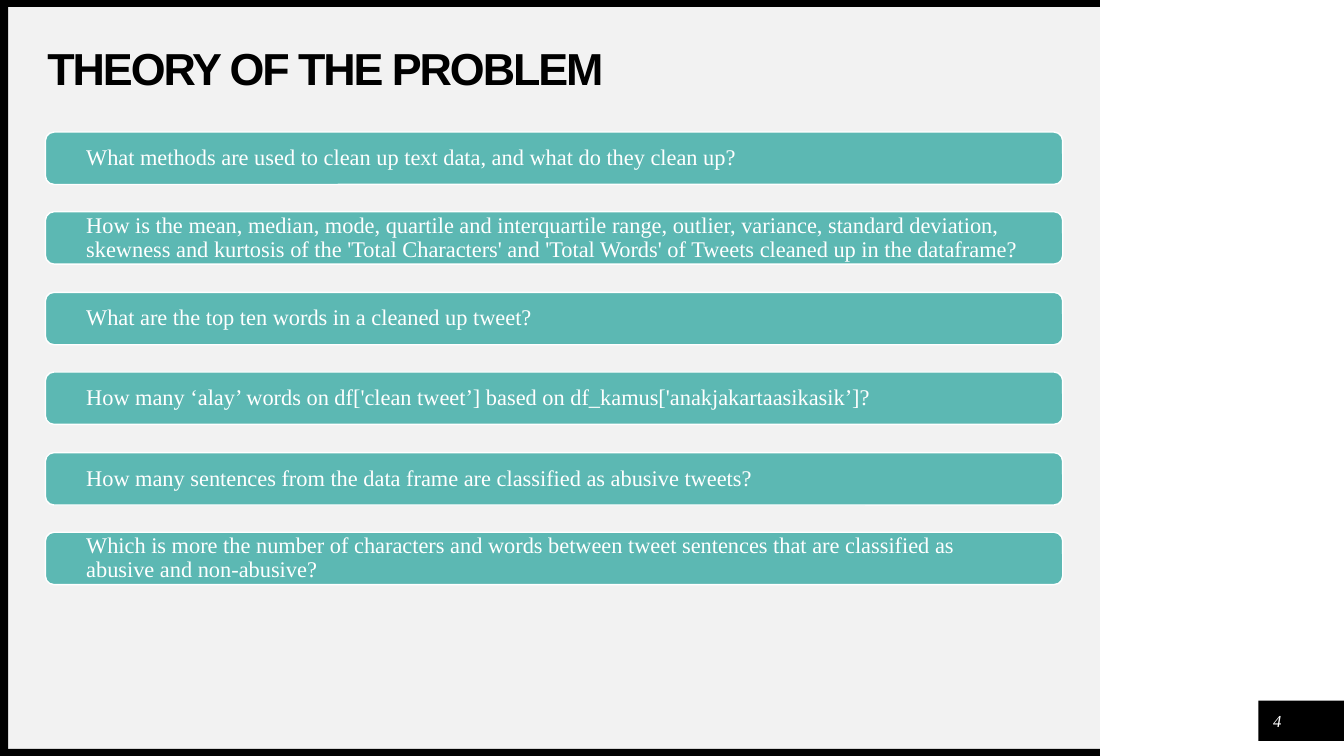
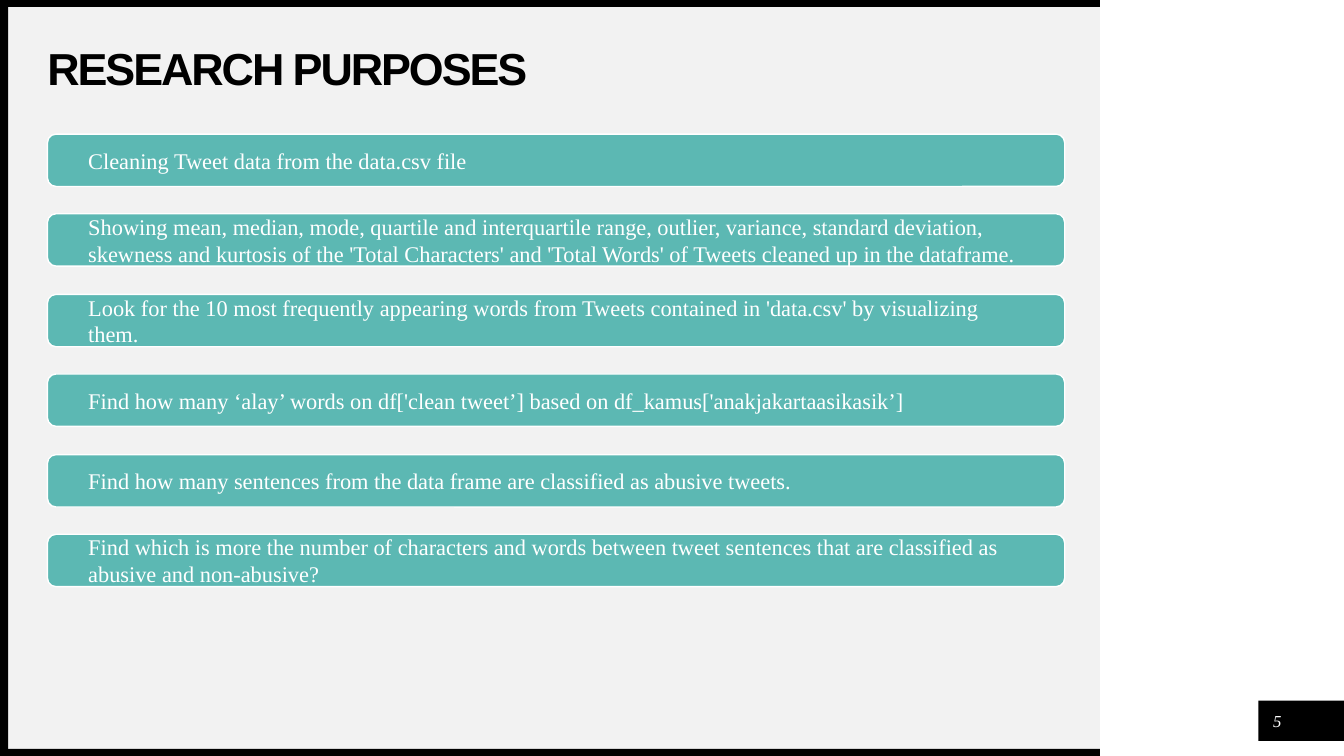
from dataclasses import dataclass

import pptx
import pptx.dml.color
import pptx.enum.shapes
import pptx.enum.text
import pptx.util

EMU_PER_PX = 9144  # 100 px to the inch
SLIDE_WIDTH, SLIDE_HEIGHT = 1333, 750
PANEL_RIGHT = 1091
EDGE = 7

COLORS = {
    "black": "000000",
    "white": "FFFFFF",
    "panel": "F2F2F2",
    "teal": "5CB8B3",
}

BAR_WIDTH, BAR_HEIGHT = 1009, 52
BAR_SPAN = 397  # from the top of the first bar to the top of the last
BAR_INSET = 38


@dataclass(frozen=True)
class Box:
    left: int
    top: int
    width: int
    height: int


@dataclass(frozen=True)
class TextStyle:
    font: str
    size: int
    color: str
    bold: bool = False
    italic: bool = False
    tracking: int = 0  # hundredths of a point
    line_spacing: float = 1.0
    align: pptx.enum.text.PP_ALIGN = pptx.enum.text.PP_ALIGN.LEFT


@dataclass(frozen=True)
class ListSlide:
    number: int
    title: str
    left: int
    top: int
    line_spacing: float
    items: tuple[str, ...]


TITLE_STYLE = TextStyle("Arial", 32, "black", bold=True, tracking=-150, line_spacing=0.9)
NUMBER_STYLE = TextStyle("Times New Roman", 12, "white", italic=True,
                         align=pptx.enum.text.PP_ALIGN.CENTER)

# Background parts shared by every slide
FRAME = (
    (Box(8, EDGE, PANEL_RIGHT - 8, SLIDE_HEIGHT - 2 * EDGE), "panel"),
    (Box(1248, 695, SLIDE_WIDTH - 1248, 40), "black"),
    (Box(0, SLIDE_HEIGHT - EDGE, PANEL_RIGHT, EDGE), "black"),
    (Box(0, 0, PANEL_RIGHT, EDGE), "black"),
    (Box(0, 0, 8, SLIDE_HEIGHT), "black"),
)

SLIDES = (
    ListSlide(4, "THEORY OF THE PROBLEM", 45, 131, 0.9, (
        "What methods are used to clean up text data, and what do they clean up?",
        "How is the mean, median, mode, quartile and interquartile range, outlier, variance, "
        "standard deviation, skewness and kurtosis of the 'Total Characters' and 'Total Words' "
        "of Tweets cleaned up in the dataframe?",
        "What are the top ten words in a cleaned up tweet?",
        "How many ‘alay’ words on df['clean tweet’] based on df_kamus['anakjakartaasikasik’]?",
        "How many sentences from the data frame are classified as abusive tweets?",
        "Which is more the number of characters and words between tweet sentences that are "
        "classified as abusive and non-abusive?",
    )),
    ListSlide(5, "RESEARCH PURPOSES", 47, 133, 1.0, (
        "Cleaning Tweet data from the data.csv file",
        "Showing mean, median, mode, quartile and interquartile range, outlier, variance, "
        "standard deviation, skewness and kurtosis of the 'Total Characters' and 'Total Words' "
        "of Tweets cleaned up in the dataframe.",
        "Look for the 10 most frequently appearing words from Tweets contained in 'data.csv' "
        "by visualizing them.",
        "Find how many ‘alay’ words on df['clean tweet’] based on df_kamus['anakjakartaasikasik’]",
        "Find how many sentences from the data frame are classified as abusive tweets.",
        "Find which is more the number of characters and words between tweet sentences that are "
        "classified as abusive and non-abusive?",
    )),
)


def px(length: int) -> pptx.util.Emu:
    return pptx.util.Emu(length * EMU_PER_PX)


def place(box: Box) -> tuple[pptx.util.Emu, ...]:
    return px(box.left), px(box.top), px(box.width), px(box.height)


def rgb(name: str) -> pptx.dml.color.RGBColor:
    return pptx.dml.color.RGBColor.from_string(COLORS[name])


def write_text(shape, text: str, style: TextStyle, inset: int = 0) -> None:
    frame = shape.text_frame
    frame.word_wrap = True
    frame.vertical_anchor = pptx.enum.text.MSO_ANCHOR.MIDDLE
    frame.margin_left = frame.margin_right = px(inset)
    frame.margin_top = frame.margin_bottom = 0
    paragraph = frame.paragraphs[0]
    paragraph.alignment = style.align
    paragraph.line_spacing = style.line_spacing
    run = paragraph.add_run()
    run.text = text
    run.font.name = style.font
    run.font.size = pptx.util.Pt(style.size)
    run.font.bold = style.bold
    run.font.italic = style.italic
    run.font.color.rgb = rgb(style.color)
    if style.tracking:
        run.font._element.set("spc", str(style.tracking))


def add_block(slide, box: Box, fill: str, rounded: bool = False):
    kinds = pptx.enum.shapes.MSO_SHAPE
    kind = kinds.ROUNDED_RECTANGLE if rounded else kinds.RECTANGLE
    shape = slide.shapes.add_shape(kind, *place(box))
    shape.shadow.inherit = False
    shape.fill.solid()
    shape.fill.fore_color.rgb = rgb(fill)
    shape.line.fill.background()
    return shape


def add_label(slide, box: Box, text: str, style: TextStyle) -> None:
    write_text(slide.shapes.add_textbox(*place(box)), text, style)


def add_bars(slide, content: ListSlide) -> None:
    style = TextStyle("Times New Roman", 16, "white", line_spacing=content.line_spacing)
    pitch = BAR_SPAN / (len(content.items) - 1)
    for index, item in enumerate(content.items):
        top = content.top + round(index * pitch)
        bar = add_block(slide, Box(content.left, top, BAR_WIDTH, BAR_HEIGHT), "teal", rounded=True)
        bar.line.color.rgb = rgb("white")
        bar.line.width = pptx.util.Pt(1)
        write_text(bar, item, style, BAR_INSET)


def build_slide(presentation, content: ListSlide) -> None:
    slide = presentation.slides.add_slide(presentation.slide_layouts[6])
    for box, fill in FRAME:
        add_block(slide, box, fill)
    add_label(slide, Box(47, 47, 1006, 47), content.title, TITLE_STYLE)
    add_label(slide, Box(1252, 700, 30, 30), str(content.number), NUMBER_STYLE)
    add_bars(slide, content)


def main() -> None:
    presentation = pptx.Presentation()
    presentation.slide_width = px(SLIDE_WIDTH)
    presentation.slide_height = px(SLIDE_HEIGHT)
    for content in SLIDES:
        build_slide(presentation, content)
    presentation.save("out.pptx")


if __name__ == "__main__":
    main()
